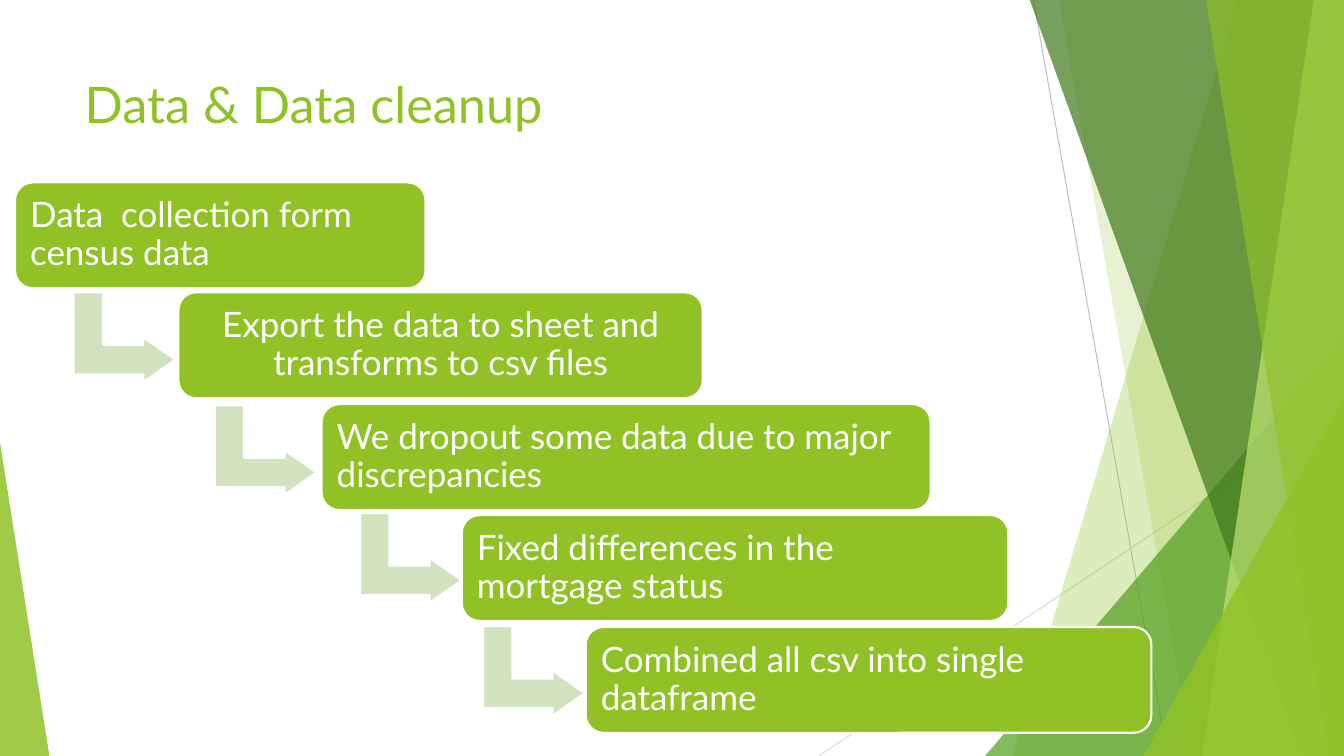
"""Build the data cleanup slide: a staircase of five steps beside green facets."""
from lxml import etree
from pptx import Presentation
from pptx.dml.color import RGBColor
from pptx.enum.shapes import MSO_CONNECTOR, MSO_SHAPE as Shape
from pptx.enum.text import MSO_ANCHOR as Anchor, MSO_AUTO_SIZE as Fit, PP_ALIGN as Align
from pptx.oxml.ns import qn
from pptx.util import Inches, Pt

HUES = {"lime": "90C226", "leaf": "54A021", "moss": "3F7819", "pale": "C0E474",
        "mint": "D1E3BE", "white": "FFFFFF", "gray": "BFBFBF", "mist": "D9D9D9"}
FONT = "Lato"


def paint(shape, hue, alpha=100, edge=None):
    shape.shadow.inherit = False
    shape.fill.solid()
    shape.fill.fore_color.rgb = RGBColor.from_string(HUES[hue])
    if alpha < 100:
        tint = shape._element.spPr.find(qn("a:solidFill"))[0]
        etree.SubElement(tint, qn("a:alpha")).set("val", str(alpha * 1000))
    if edge:
        shape.line.color.rgb = RGBColor.from_string(HUES[edge])
        shape.line.width = Pt(1.5)
    else:
        shape.line.fill.background()


def write(para, text, size, hue):
    run = para.add_run()
    run.text = text
    run.font.name = FONT
    run.font.size = Pt(size)
    run.font.color.rgb = RGBColor.from_string(HUES[hue])


deck = Presentation()
deck.slide_width, deck.slide_height = Inches(13.33), Inches(7.5)
slide = deck.slides.add_slide(deck.slide_layouts[5])
shapes = slide.shapes

for x1, y1, x2, y2, hue in [(10.25, 0, 11.58, 7.5, "gray"), (13.33, 4.03, 8.12, 7.5, "mist")]:
    line = shapes.add_connector(MSO_CONNECTOR.STRAIGHT, *map(Inches, (x1, y1, x2, y2)))
    line.line.color.rgb = RGBColor.from_string(HUES[hue])
    line.line.width = Pt(0.75)
    etree.SubElement(line._element.spPr, qn("a:effectLst"))

facets = [
    ("band", (12.28, 10.04), "lime", 30),
    ("band", (10.5, 11.83), "lime", 20),
    ("peak", (9.77, 3.33, 3.56, 4.17, 1), "leaf", 72),
    ("band", (10.21, 12.91), "moss", 70),
    ("band", (13.03, 11.92), "pale", 70),
    ("band", (11.96, 13.18), "lime", 65),
    ("peak", (11.34, 3.93, 1.99, 3.57, 1), "lime", 80),
    ("peak", (0, 4.39, 0.49, 3.11, 0), "lime", 85),
]
for kind, spot, hue, alpha in facets:
    if kind == "band":
        top, foot = spot
        form = shapes.build_freeform(Inches(top), Inches(-0.01))
        ends = [(13.33, -0.01), (13.33, 7.5), (foot, 7.5)]
        form.add_line_segments([(Inches(x), Inches(y)) for x, y in ends], close=True)
        facet = form.convert_to_shape()
    else:
        facet = shapes.add_shape(Shape.ISOSCELES_TRIANGLE, *map(Inches, spot[:4]))
        facet.adjustments[0] = spot[4]
    paint(facet, hue, alpha)

steps = [
    (0.15, 1.81, 4.07, 0.1, Align.LEFT, "Data  collection form census data"),
    (1.77, 2.9, 5.2, 0.1, Align.CENTER, "Export the data to sheet and transforms to csv files"),
    (3.19, 4.01, 6.04, 0.1, Align.LEFT, "We dropout some data due to major discrepancies"),
    (4.58, 5.11, 5.42, 0.94, Align.LEFT, "Fixed differences in the mortgage status"),
    (5.81, 6.22, 5.61, 0.78, Align.LEFT, "Combined all csv into single dataframe"),
]
for x, y, wide, right, align, text in steps:
    box = shapes.add_shape(Shape.ROUNDED_RECTANGLE, *map(Inches, (x, y, wide, 1.05)))
    box.adjustments[0] = 0.167
    paint(box, "lime", edge="white")
    frame = box.text_frame
    frame.word_wrap = True
    frame.vertical_anchor = Anchor.MIDDLE
    frame.margin_left = frame.margin_top = frame.margin_bottom = Inches(0.1)
    frame.margin_right = Inches(right)
    para = frame.paragraphs[0]
    para.alignment = align
    para.line_spacing = 0.9
    write(para, text, 25, "white")

for x, y in [(0.79, 2.84), (2.19, 3.96), (3.63, 5.03), (4.85, 6.15)]:
    arrow = shapes.add_shape(Shape.BENT_UP_ARROW, *map(Inches, (x, y, 0.89, 1.01)))
    arrow.rotation = 90
    for spot, size in enumerate((0.328, 0.25, 0.358)):
        arrow.adjustments[spot] = size
    paint(arrow, "mint", edge="white")

title = shapes.title
title.left, title.top, title.width, title.height = map(Inches, (0.74, 0.68, 9.4, 1.44))
frame = title.text_frame
frame.auto_size = Fit.NONE
frame.vertical_anchor = Anchor.TOP
para = frame.paragraphs[0]
para.alignment = Align.LEFT
write(para, "Data & Data cleanup", 36, "lime")

deck.save("out.pptx")
